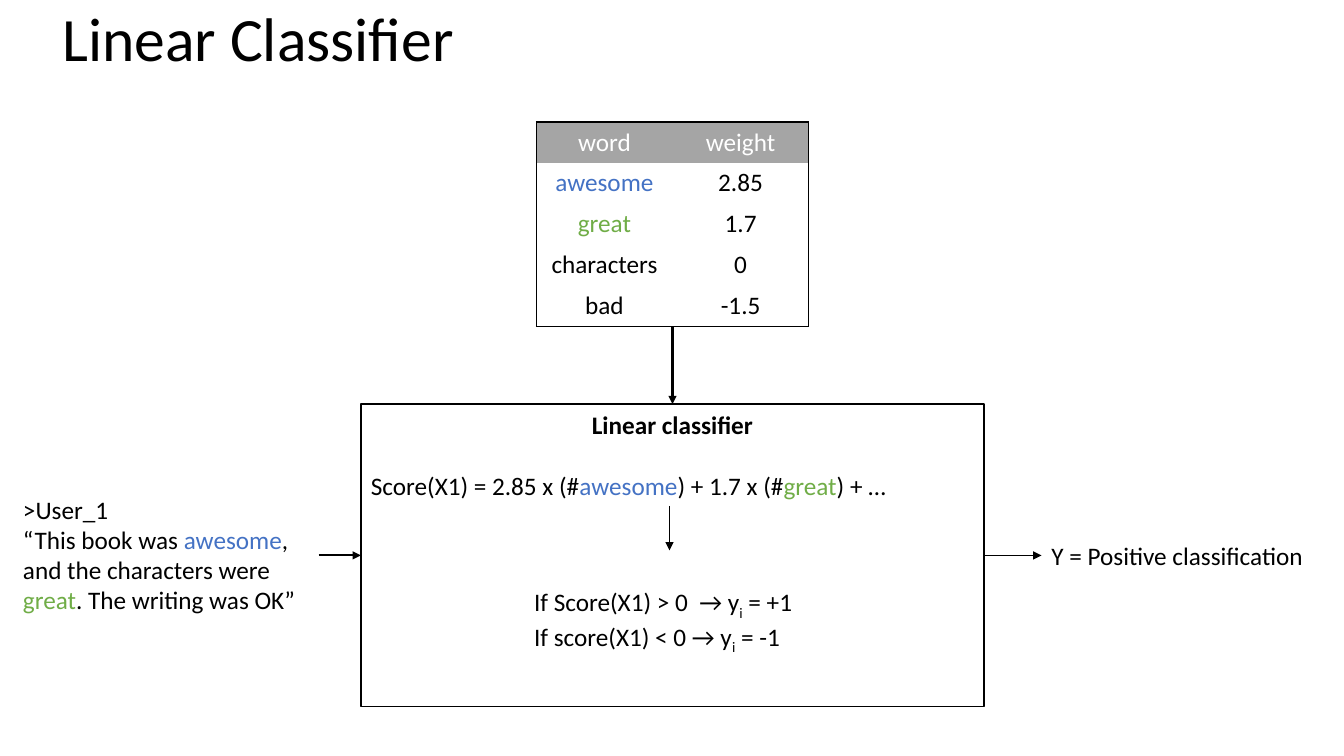
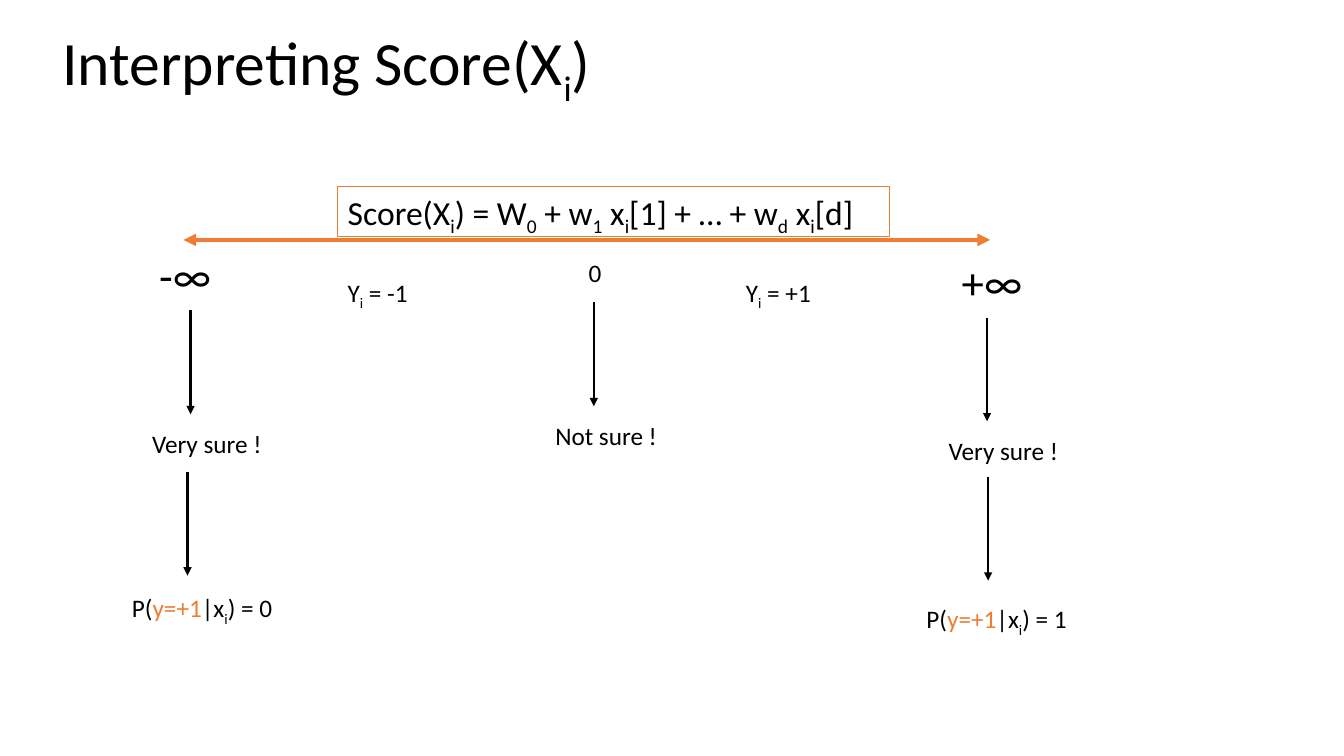
from dataclasses import dataclass

from lxml.etree import SubElement
from pptx import Presentation
from pptx.dml.color import RGBColor
from pptx.enum.shapes import MSO_CONNECTOR, MSO_SHAPE
from pptx.enum.text import MSO_ANCHOR, PP_ALIGN
from pptx.oxml.ns import qn
from pptx.util import Inches, Pt


@dataclass(frozen=True)
class Theme:
    font: str = "Calibri"
    black: RGBColor = RGBColor(0, 0, 0)
    white: RGBColor = RGBColor(255, 255, 255)
    blue: RGBColor = RGBColor(0x44, 0x72, 0xC4)
    green: RGBColor = RGBColor(0x70, 0xAD, 0x47)
    orange: RGBColor = RGBColor(0xED, 0x7D, 0x31)
    gray: RGBColor = RGBColor(0xA5, 0xA5, 0xA5)
    title: int = 44
    sign: int = 32
    lead: int = 24
    body: int = 18


T = Theme()


def hue(text, color):
    return text, {"color": color}


def sub(text):
    return text, {"low": True}


def write(para, *parts, size=T.body, color=T.black, bold=False,
          align=PP_ALIGN.LEFT, after=0, space=None):
    """Fill a paragraph; each part is a string or a marked (text, format) pair."""
    para.alignment = align
    para.space_after = Pt(after)
    para.line_spacing = space
    for part in parts:
        text, form = (part, {}) if isinstance(part, str) else part
        run = para.add_run()
        run.text = text
        font = run.font
        font.name, font.size, font.bold = T.font, Pt(size), bold
        font.color.rgb = form.get("color", color)
        if form.get("low"):
            run._r.get_or_add_rPr().set("baseline", "-25000")


def label(slide, at, *lines, **form):
    """Add a text box with one paragraph per list of parts."""
    shape = slide.shapes.add_textbox(*map(Inches, at))
    frame = shape.text_frame
    frame.word_wrap = True
    for i, parts in enumerate(lines):
        para = frame.add_paragraph() if i else frame.paragraphs[0]
        write(para, *parts, **form)
    return shape


def title(slide, top, *parts):
    label(slide, (0.52, top, 12, 1.25), parts, size=T.title, space=0.9)


def box(slide, at, edge):
    shape = slide.shapes.add_shape(MSO_SHAPE.RECTANGLE, *map(Inches, at))
    shape.shadow.inherit = False
    shape.fill.solid()
    shape.fill.fore_color.rgb = T.white
    shape.line.color.rgb = edge
    shape.line.width = Pt(1)
    frame = shape.text_frame
    frame.word_wrap = True
    frame.vertical_anchor = MSO_ANCHOR.TOP
    return shape


def arrow(slide, start, end, width=1.5, color=T.black, ends=("tailEnd",)):
    line = slide.shapes.add_connector(
        MSO_CONNECTOR.STRAIGHT, *map(Inches, (*start, *end)))
    line.line.color.rgb = color
    line.line.width = Pt(width)
    for tag in ends:
        SubElement(line.line._get_or_add_ln(), qn("a:" + tag), type="triangle")
    SubElement(line._element.spPr, qn("a:effectLst"))
    return line


def drop(slide, x, y):
    arrow(slide, (x, y), (x, y + 1.03))


def frame_cell(cell, edges):
    """Draw the named edges (of L, R, T, B) and clear the others."""
    props = cell._tc.get_or_add_tcPr()
    for side in "LRTB":
        line = SubElement(props, qn("a:ln" + side), w=str(Pt(1)))
        if side in edges:
            fill = SubElement(line, qn("a:solidFill"))
            SubElement(fill, qn("a:srgbClr"), val=str(T.black))
        else:
            SubElement(line, qn("a:noFill"))


def grid(slide, at, rows):
    """Add a table with a gray head row and an outer frame only."""
    count, wide = len(rows), len(rows[0])
    table = slide.shapes.add_table(count, wide, *map(Inches, at)).table
    table.horz_banding = False
    for r, row in enumerate(rows):
        for c, part in enumerate(row):
            cell = table.cell(r, c)
            sides = {"L": c == 0, "R": c == wide - 1,
                     "T": r == 0, "B": r == count - 1}
            frame_cell(cell, [side for side, on in sides.items() if on])
            if r == 0:
                cell.fill.solid()
                cell.fill.fore_color.rgb = T.gray
            else:
                cell.fill.background()
            write(cell.text_frame.paragraphs[0], part, align=PP_ALIGN.CENTER,
                  color=T.black if r else T.white)


def model(slide):
    good, great = hue("awesome", T.blue), hue("great", T.green)
    title(slide, 0.03, "Linear Classifier")
    user = label(slide, (0.13, 4.85, 3.03, 1.32), [">User_1"],
                 ["“This book was ", good, ", and the characters were ",
                  great, ". The writing was OK”"])
    core = box(slide, (3.58, 4.01, 6.18, 3), T.black)
    frame = core.text_frame
    write(frame.paragraphs[0], "Linear classifier", bold=True,
          align=PP_ALIGN.CENTER, after=22)
    write(frame.add_paragraph(), "Score(X1) = 2.85 x (#", good,
          ") + 1.7 x (#", great, ") + …")
    grid(slide, (5.32, 1.21, 2.7, 2.03),
         [("word", "weight"), (good, "2.85"), (great, "1.7"),
          ("characters", "0"), ("bad", "-1.5")])
    result = label(slide, (10.33, 5.31, 3, 0.4), ["Y = Positive classification"])
    label(slide, (5.2, 5.77, 3.94, 0.71),
          ["If Score(X1) > 0  → y", sub("i"), " = +1"],
          ["If score(X1) < 0 → y", sub("i"), " = -1"])

    arrow(slide, (6.67, 3.24), (6.67, 4.01)).end_connect(core, 0)
    feed = arrow(slide, (3.16, 5.51), (3.58, 5.51))
    feed.begin_connect(user, 3)
    feed.end_connect(core, 1)
    arrow(slide, (6.64, 5.02), (6.64, 5.46), width=0.5)
    out = arrow(slide, (9.76, 5.51), (10.33, 5.51), width=0.5)
    out.begin_connect(core, 3)
    out.end_connect(result, 1)


def scale(slide):
    low = sub("i")
    title(slide, 0.2, "Interpreting Score(X", low, ")")
    arrow(slide, (1.82, 2.38), (9.82, 2.38), width=3, color=T.orange,
          ends=("headEnd", "tailEnd"))
    rule = box(slide, (3.35, 1.85, 5.47, 0.5), T.orange)
    write(rule.text_frame.paragraphs[0], "Score(X", low, ") = W", sub("0"),
          " + w", sub("1"), " x", low, "[1] + … + w", sub("d"), " x", low,
          "[d]", size=T.lead)

    for x, y, sign in ((1.48, 2.41, "-∞"), (9.44, 2.48, "+∞")):
        label(slide, (x, y, 1.48, 0.64), [sign], size=T.sign)
    label(slide, (5.74, 2.5, 0.8, 0.4), ["0"])
    for x, value in ((3.35, "-1"), (7.3, "+1")):
        label(slide, (x, 2.7, 1.2, 0.4), ["Y", low, " = " + value])

    for x, y, text in ((1.89, 3.08, "Very sure !"), (5.89, 3, "Not sure !"),
                       (9.79, 3.15, "Very sure !")):
        drop(slide, x, y)
        label(slide, (x - 0.48, y + 1.12, 2.3, 0.4), [text])

    for x, y, left, top, odds in ((1.86, 4.68, 1.21, 5.83, "0"),
                                  (9.8, 4.73, 9.09, 5.94, "1")):
        drop(slide, x, y)
        label(slide, (left, top, 1.82, 0.4),
              ["P(", hue("y=+1", T.orange), "|x", low, ") = " + odds])


def main():
    deck = Presentation()
    deck.slide_width, deck.slide_height = Inches(13.33), Inches(7.5)
    for build in (model, scale):
        build(deck.slides.add_slide(deck.slide_layouts[6]))
    deck.save("out.pptx")


if __name__ == "__main__":
    main()
